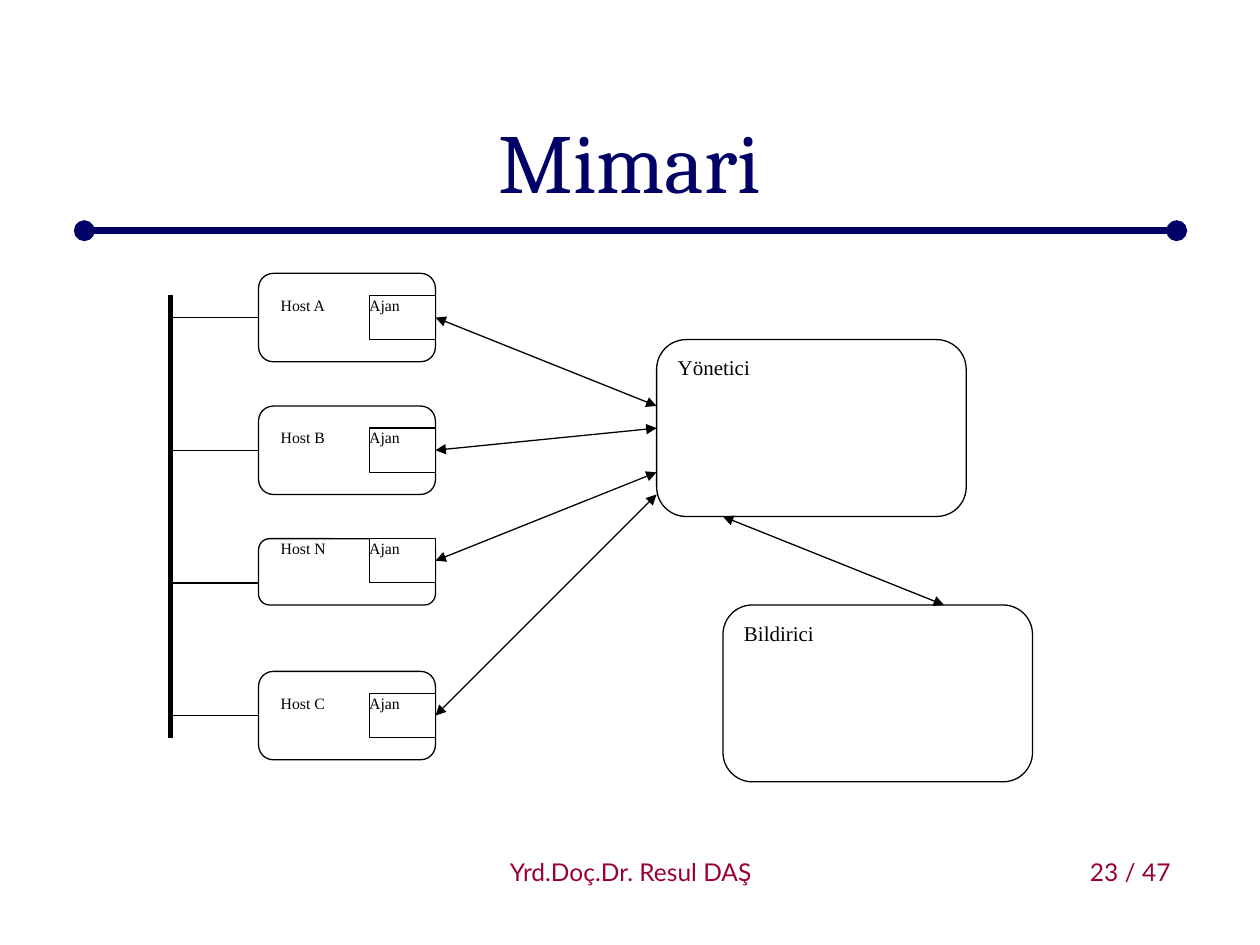
from lxml.etree import SubElement
from pptx import Presentation
from pptx.dml.color import RGBColor
from pptx.enum.shapes import MSO_CONNECTOR, MSO_SHAPE
from pptx.enum.text import MSO_ANCHOR, PP_ALIGN
from pptx.oxml.ns import qn
from pptx.util import Cm, Pt

COLORS = {"navy": "000066", "wine": "990033", "ink": "000000", "paper": "FFFFFF"}
SERIF = "Times New Roman"

# The diagram sits on a square grid
LEFT, TOP, STEP = 3.43, 5.51, 17.83 / 40

# Name, top, height, agent top, arrow end on the manager (grid rows)
HOSTS = [
    ("Host A", 0, 4, 1, 6),
    ("Host B", 6, 4, 7, 7),
    ("Host N", 12, 3, 12, 9),
    ("Host C", 18, 4, 19, 10),
]


def color(name):
    return RGBColor.from_string(COLORS[name])


def grid(col, row):
    return LEFT + col * STEP, TOP + row * STEP


def cell(col, row, wide, high):
    return (*grid(col, row), wide * STEP, high * STEP)


def put_text(shape, text, size=9, font=SERIF, ink="ink", align=PP_ALIGN.LEFT,
             anchor=MSO_ANCHOR.TOP, inset=(0, 0)):
    frame = shape.text_frame
    frame.word_wrap = True
    frame.vertical_anchor = anchor
    frame.margin_left = frame.margin_right = Cm(inset[0])
    frame.margin_top = frame.margin_bottom = Cm(inset[1])
    para = frame.paragraphs[0]
    para.alignment = align
    run = para.add_run()
    run.text = text
    run.font.size = Pt(size)
    run.font.name = font
    run.font.color.rgb = color(ink)


def add_label(slide, area, text, **style):
    box = slide.shapes.add_textbox(*map(Cm, area))
    put_text(box, text, **style)


def add_box(slide, area, kind=MSO_SHAPE.ROUNDED_RECTANGLE):
    box = slide.shapes.add_shape(kind, *map(Cm, area))
    box.shadow.inherit = False
    box.fill.solid()
    box.fill.fore_color.rgb = color("paper")
    box.line.color.rgb = color("ink")
    box.line.width = Pt(0.75)
    return box


def add_line(slide, start, end, width=0.75, ink="ink", tips=None):
    line = slide.shapes.add_connector(
        MSO_CONNECTOR.STRAIGHT, *map(Cm, (*start, *end)))
    line.line.color.rgb = color(ink)
    line.line.width = Pt(width)
    if tips:
        stroke = line.line._get_or_add_ln()
        for side in ("a:headEnd", "a:tailEnd"):
            SubElement(stroke, qn(side), type=tips)
    SubElement(line._element.spPr, qn("a:effectLst"))


def add_host(slide, name, top, high, agent, end):
    add_box(slide, cell(4, top, 8, high))
    add_line(slide, grid(0, top + 2), grid(4, top + 2))
    put_text(add_box(slide, cell(9, agent, 3, 2), MSO_SHAPE.RECTANGLE), "Ajan")
    add_label(slide, cell(5, agent, 3, 2), name)
    add_line(slide, grid(12, agent + 1), grid(22, end), tips="triangle")


def main():
    deck = Presentation()
    deck.slide_width, deck.slide_height = Cm(25.4), Cm(19.05)
    slide = deck.slides.add_slide(deck.slide_layouts[6])
    pad = (0.25, 0.13)

    # Title and rule
    add_line(slide, (1.7, 4.65), (23.72, 4.65), width=4, ink="navy", tips="oval")
    add_label(slide, (1.52, 1.22, 22.35, 4.01), "Mimari", size=48, font="Cambria",
              ink="navy", align=PP_ALIGN.CENTER, anchor=MSO_ANCHOR.MIDDLE, inset=pad)

    # Manager and reporter
    for text, col, row in (("Yönetici", 22, 3), ("Bildirici", 25, 15)):
        put_text(add_box(slide, cell(col, row, 14, 8)), text, size=12, inset=pad)
    add_line(slide, grid(25, 11), grid(35, 15), tips="triangle")

    # Network and its hosts
    add_line(slide, grid(0, 1), grid(0, 21), width=3)
    for host in HOSTS:
        add_host(slide, *host)

    # Footer
    for text, left, wide, align in (
            ("Yrd.Doç.Dr. Resul DAŞ", 8.69, 8.05, PP_ALIGN.CENTER),
            ("23 / 47", 17.93, 5.92, PP_ALIGN.RIGHT)):
        add_label(slide, (left, 17.07, wide, 1.02), text, size=14, font="Lato",
                  ink="wine", align=align, anchor=MSO_ANCHOR.MIDDLE, inset=pad)

    deck.save("out.pptx")


if __name__ == "__main__":
    main()
